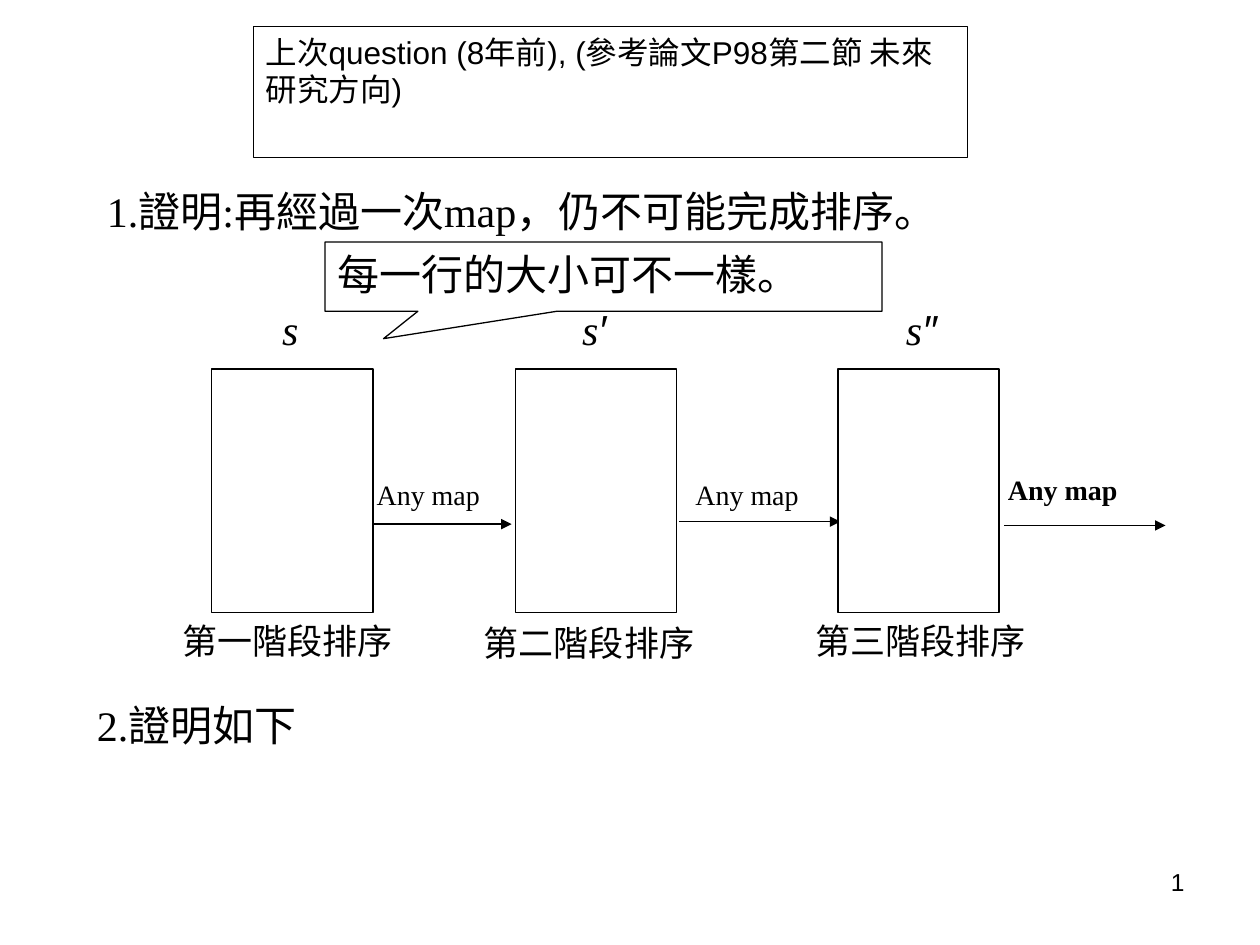
from dataclasses import dataclass
from typing import Optional

from lxml.etree import SubElement
from pptx import Presentation
from pptx.dml.color import RGBColor as Rgb
from pptx.enum.shapes import MSO_CONNECTOR as Link, MSO_SHAPE as Kind
from pptx.enum.text import MSO_ANCHOR as Anchor, MSO_AUTO_SIZE as Fit, PP_ALIGN as Align
from pptx.oxml.ns import qn
from pptx.util import Inches, Pt

HUES = {"ink": "000000", "paper": "FFFFFF"}
SERIF, SANS = "Times New Roman", "Arial"
BOX_TOP, BOX_WIDE, BOX_HIGH = 2.93, 1.28, 1.93


@dataclass
class Style:
    """Look of one paragraph."""
    size: float
    face: str = SERIF
    bold: bool = False
    slant: bool = False
    align: Align = Align.LEFT
    above: float = 0
    pad: bool = False
    grow: bool = False


@dataclass
class Stage:
    """One sorting stage with its label, caption and map arrow."""
    left: float
    sign: str
    sign_x: float
    prime: str
    name: str
    name_x: float
    name_y: float
    start: float
    end: float
    line_y: float
    map_x: float
    map_y: float
    bold: bool = False


STAGES = [
    Stage(1.68, "s", 2.24, "", "第一階段排序", 1.45, 4.92, 2.96, 4.06, 4.16, 2.99, 3.79),
    Stage(4.09, "s", 4.62, "′", "第二階段排序", 3.84, 4.93, 5.39, 6.67, 4.14, 5.52, 3.79),
    Stage(6.65, "s", 7.19, "″", "第三階段排序", 6.47, 4.92, 7.97, 9.25, 4.17, 8, 3.75, True),
]
HEAD = Style(24, above=15, pad=True, grow=True)


def hue(key: str) -> Rgb:
    """Return a named colour."""
    return Rgb.from_string(HUES[key])


def write(shape, text: str, style: Style, tail: str = "") -> None:
    """Put one styled paragraph into a shape."""
    frame = shape.text_frame
    frame.word_wrap = True
    frame.vertical_anchor = Anchor.TOP
    frame.auto_size = Fit.SHAPE_TO_FIT_TEXT if style.grow else Fit.NONE
    frame.margin_left = frame.margin_right = Inches(0.1 if style.pad else 0)
    frame.margin_top = frame.margin_bottom = Inches(0.05 if style.pad else 0)
    para = frame.paragraphs[0]
    para.alignment = style.align
    para.space_before = Pt(style.above)
    font = para.font
    font.size, font.name = Pt(style.size), style.face
    font.bold, font.italic = style.bold, style.slant
    font.color.rgb = hue("ink")
    para.add_run().text = text
    if tail:
        run = para.add_run()
        run.text, run.font.name = tail, SANS


def label(slide, x: float, y: float, wide: float, high: float,
          text: str, style: Style, tail: str = "") -> None:
    """Add a text box."""
    box = slide.shapes.add_textbox(Inches(x), Inches(y), Inches(wide), Inches(high))
    write(box, text, style, tail)


def panel(slide, x: float, y: float, wide: float, high: float,
          kind: Kind = Kind.RECTANGLE, fill: Optional[str] = "paper"):
    """Add an outlined shape."""
    shape = slide.shapes.add_shape(kind, Inches(x), Inches(y), Inches(wide), Inches(high))
    shape.shadow.inherit = False
    if fill:
        shape.fill.solid()
        shape.fill.fore_color.rgb = hue(fill)
    else:
        shape.fill.background()
    shape.line.color.rgb = hue("ink")
    shape.line.width = Pt(0.75)
    return shape


def arrow(slide, start: float, end: float, y: float) -> None:
    """Add a level arrow pointing right."""
    line = slide.shapes.add_connector(
        Link.STRAIGHT, Inches(start), Inches(y), Inches(end), Inches(y))
    line.line.color.rgb = hue("ink")
    line.line.width = Pt(0.75)
    SubElement(line.line._get_or_add_ln(), qn("a:tailEnd"), type="triangle")
    SubElement(line._element.spPr, qn("a:effectLst"))


def draw(slide, stage: Stage) -> None:
    """Draw one stage."""
    panel(slide, stage.left, BOX_TOP, BOX_WIDE, BOX_HIGH)
    arrow(slide, stage.start, stage.end, stage.line_y)
    label(slide, stage.sign_x, 2.41, 0.43, 0.53, stage.sign,
          Style(24, slant=True), stage.prime)
    label(slide, stage.map_x, stage.map_y, 1.1, 0.35, "Any map", Style(16, bold=stage.bold))
    label(slide, stage.name_x, stage.name_y, 1.86, 0.38, stage.name, Style(20))


def main() -> None:
    """Build the slide and save it."""
    deck = Presentation()
    deck.slide_width, deck.slide_height = Inches(10), Inches(7.5)
    slide = deck.slides.add_slide(deck.slide_layouts[6])
    for stage in STAGES:
        draw(slide, stage)
    note = panel(slide, 2.58, 1.92, 4.42, 0.55, Kind.RECTANGULAR_CALLOUT, None)
    note.adjustments[0], note.adjustments[1] = -0.395, 0.896
    write(note, "每一行的大小可不一樣。", Style(24, align=Align.JUSTIFY, pad=True))
    write(panel(slide, 2.01, 0.21, 5.67, 1.04),
          "上次question (8年前), (參考論文P98第二節 未來研究方向)",
          Style(18, SANS, pad=True))
    label(slide, 0.75, 1.42, 6.75, 0.9, "1.證明:再經過一次map，仍不可能完成排序。", HEAD)
    label(slide, 0.67, 5.5, 9.08, 0.5, "2.證明如下", HEAD)
    label(slide, 7.17, 6.83, 2.33, 0.52, "1", Style(14, SANS, align=Align.RIGHT, pad=True))
    deck.save("out.pptx")


if __name__ == "__main__":
    main()
